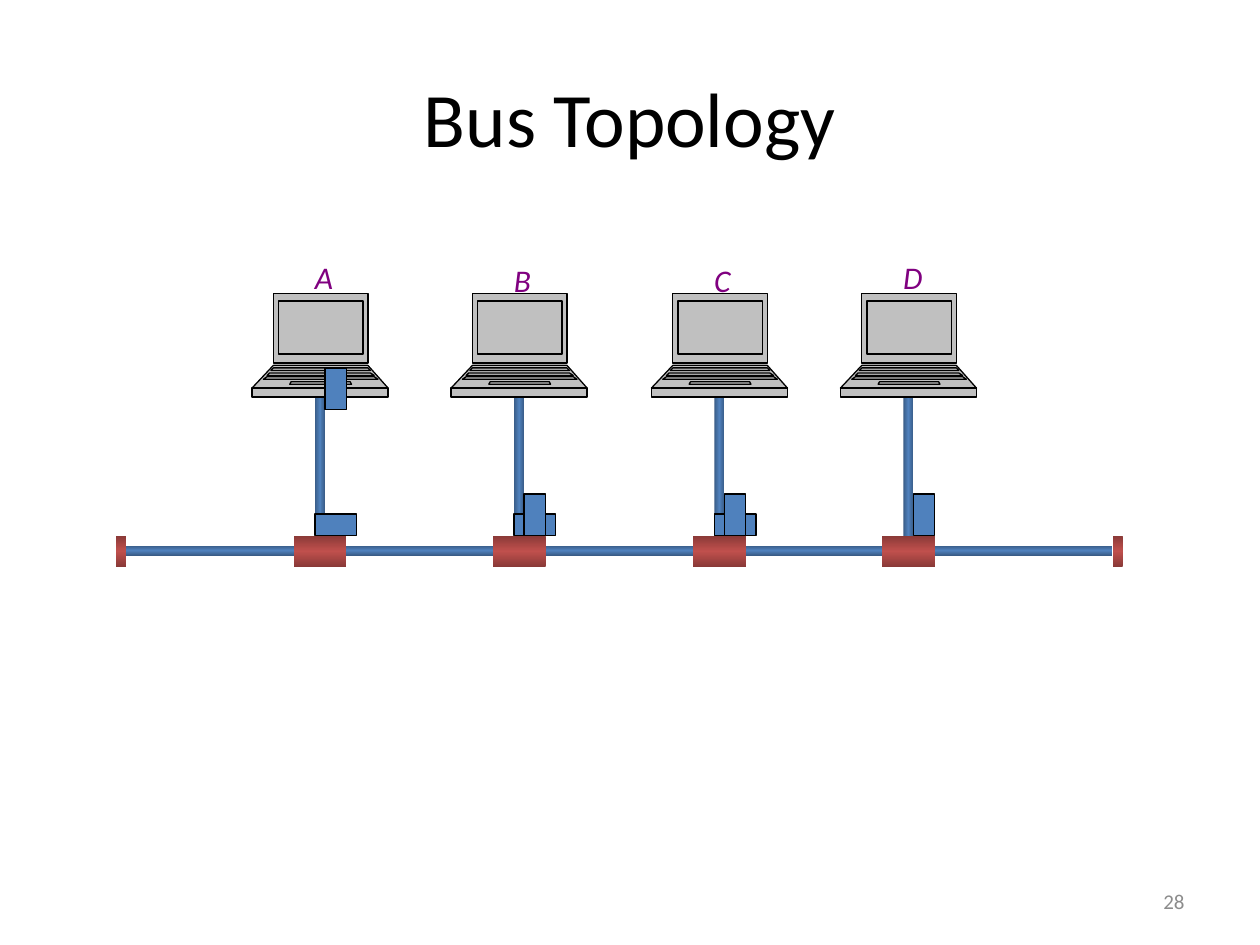
from copy import deepcopy

from lxml import etree
from pptx import Presentation
from pptx.dml import color
from pptx.enum import shapes, text
from pptx.oxml import ns
from pptx.util import Inches, Pt

BLACK = color.RGBColor(0x00, 0x00, 0x00)
GREY = color.RGBColor(0x8C, 0x8C, 0x8C)
SILVER = color.RGBColor(0xC0, 0xC0, 0xC0)
PURPLE = color.RGBColor(0x80, 0x00, 0x80)
BLUE = color.RGBColor(0x4F, 0x81, 0xBD)
DARK_BLUE = color.RGBColor(0x39, 0x5C, 0x87)
RED = color.RGBColor(0xC0, 0x50, 0x4D)
DARK_RED = color.RGBColor(0x89, 0x39, 0x37)

CABLE = (DARK_BLUE, BLUE, DARK_BLUE)
CONNECTOR = (DARK_RED, RED, DARK_RED)

TITLE_FORMAT = {"size": Pt(44), "color": BLACK}
NUMBER_FORMAT = {"size": Pt(12), "color": GREY}
LABEL_FORMAT = {"size": Pt(18), "color": PURPLE, "italic": True}

LAPTOP_PARTS = [
    (0.17, 0.92, 0.17, 0.92, 0, 0.55),
    (0.17, 0.92, 0, 1.08, 0.57, 0.75),
    (0, 1.08, 0, 1.08, 0.75, 0.82),
    (0.21, 0.88, 0.21, 0.88, 0.06, 0.48),
    (0.17, 0.92, 0.15, 0.94, 0.59, 0.61),
    (0.31, 0.78, 0.3, 0.79, 0.7, 0.72),
    (0.14, 0.94, 0.12, 0.97, 0.63, 0.65),
    (0.12, 0.97, 0.09, 1, 0.66, 0.68),
]

STATIONS = [
    ("A", 2.5, 2, 2.92, True),
    ("B", 4.08, 2.02, 3.92, True),
    ("C", 5.67, 2.02, 3.92, True),
    ("D", 7.17, 2, 3.92, False),
]


class SlideBuilder:
    font_name = "Calibri"

    def __init__(self, slide):
        self.slide = slide

    def format_text(self, paragraph, values):
        font = paragraph.font
        font.name = self.font_name
        for key, value in values.items():
            if key == "color":
                font.color.rgb = value
            else:
                setattr(font, key, value)

    def title(self, words, left, top, width, height):
        heading = self.slide.shapes.title
        box = {"left": left, "top": top, "width": width, "height": height}
        for key, value in box.items():
            setattr(heading, key, Inches(value))
        frame = heading.text_frame
        frame.text = words
        frame.vertical_anchor = text.MSO_ANCHOR.MIDDLE
        frame.paragraphs[0].alignment = text.PP_ALIGN.CENTER
        self.format_text(frame.paragraphs[0], TITLE_FORMAT)

    def caption(self, words, box, values, align, **frame_format):
        frame = self.slide.shapes.add_textbox(*map(Inches, box)).text_frame
        for key, value in frame_format.items():
            setattr(frame, key, value)
        frame.text = words
        frame.paragraphs[0].alignment = align
        self.format_text(frame.paragraphs[0], values)

    def outline(self, shape, fill):
        shape.shadow.inherit = False
        shape.fill.solid()
        shape.fill.fore_color.rgb = fill
        shape.line.color.rgb = BLACK
        shape.line.width = Pt(0.75)

    def group(self):
        return self.slide.shapes.add_group_shape()

    def tube(self, group, box, colors, angle):
        tube = group.shapes.add_shape(shapes.MSO_SHAPE.RECTANGLE, *map(Inches, box))
        tube.shadow.inherit = False
        tube.line.fill.background()
        tube.fill.gradient()
        tube.fill.gradient_angle = angle
        stop_list = tube._element.spPr.find(".//" + ns.qn("a:gsLst"))
        stop_list.insert(1, deepcopy(stop_list[0]))
        for index, stop in enumerate(tube.fill.gradient_stops):
            stop.position = index / 2
            stop.color.rgb = colors[index]

    def packet(self, left, top, rotation=0):
        packet = self.slide.shapes.add_shape(
            shapes.MSO_SHAPE.RECTANGLE, *map(Inches, (left, top, 0.17, 0.33)))
        packet.rotation = rotation
        self.outline(packet, BLUE)

    def laptop(self, left, top):
        builder = None
        for top_left, top_right, low_left, low_right, upper, lower in LAPTOP_PARTS:
            corners = [(top_left, upper), (top_right, upper),
                       (low_right, lower), (low_left, lower)]
            points = [(Inches(left + x), Inches(top + y)) for x, y in corners]
            if builder is None:
                builder = self.slide.shapes.build_freeform(*points[0])
            else:
                builder.move_to(*points[0])
            builder.add_line_segments(points[1:], close=True)
        laptop = builder.convert_to_shape()
        self.separate_contours(laptop)
        self.outline(laptop, SILVER)

    def separate_contours(self, shape):
        joined = shape._element.spPr.find(".//" + ns.qn("a:path"))
        path_list = joined.getparent()
        for step in list(joined):
            if step.tag == ns.qn("a:moveTo"):
                contour = etree.SubElement(path_list, ns.qn("a:path"), dict(joined.attrib))
            contour.append(step)
        path_list.remove(joined)


def main():
    deck = Presentation()
    deck.slide_width, deck.slide_height = Inches(10), Inches(7.5)
    builder = SlideBuilder(deck.slides.add_slide(deck.slide_layouts[5]))

    builder.title("Bus Topology", 0.5, 0.3, 9, 1.25)
    builder.caption("28", (7.17, 6.95, 2.33, 0.4), NUMBER_FORMAT, text.PP_ALIGN.RIGHT,
                    word_wrap=True, vertical_anchor=text.MSO_ANCHOR.MIDDLE)

    bus = builder.group()
    builder.tube(bus, (1, 4.33, 7.83, 0.08), CABLE, 270)
    for terminator_left in (0.92, 8.83):
        builder.tube(bus, (terminator_left, 4.25, 0.08, 0.25), CONNECTOR, 270)

    for _, drop_left, *_ in STATIONS:
        drop = builder.group()
        builder.tube(drop, (drop_left, 2.92, 0.08, 1.5), CABLE, 0)
        builder.tube(drop, (drop_left - 0.17, 4.25, 0.42, 0.25), CONNECTOR, 270)

    for name, drop_left, label_top, packet_top, has_flat_packet in STATIONS:
        builder.laptop(drop_left - 0.5, 2.33)
        if has_flat_packet:
            builder.packet(drop_left + 0.08, 4, 90)
        builder.packet(drop_left + 0.08, packet_top)
        builder.caption(name, (drop_left - 0.1, label_top, 0.35, 0.4), LABEL_FORMAT,
                        text.PP_ALIGN.LEFT, word_wrap=False,
                        auto_size=text.MSO_AUTO_SIZE.SHAPE_TO_FIT_TEXT)

    deck.save("out.pptx")


if __name__ == "__main__":
    main()
